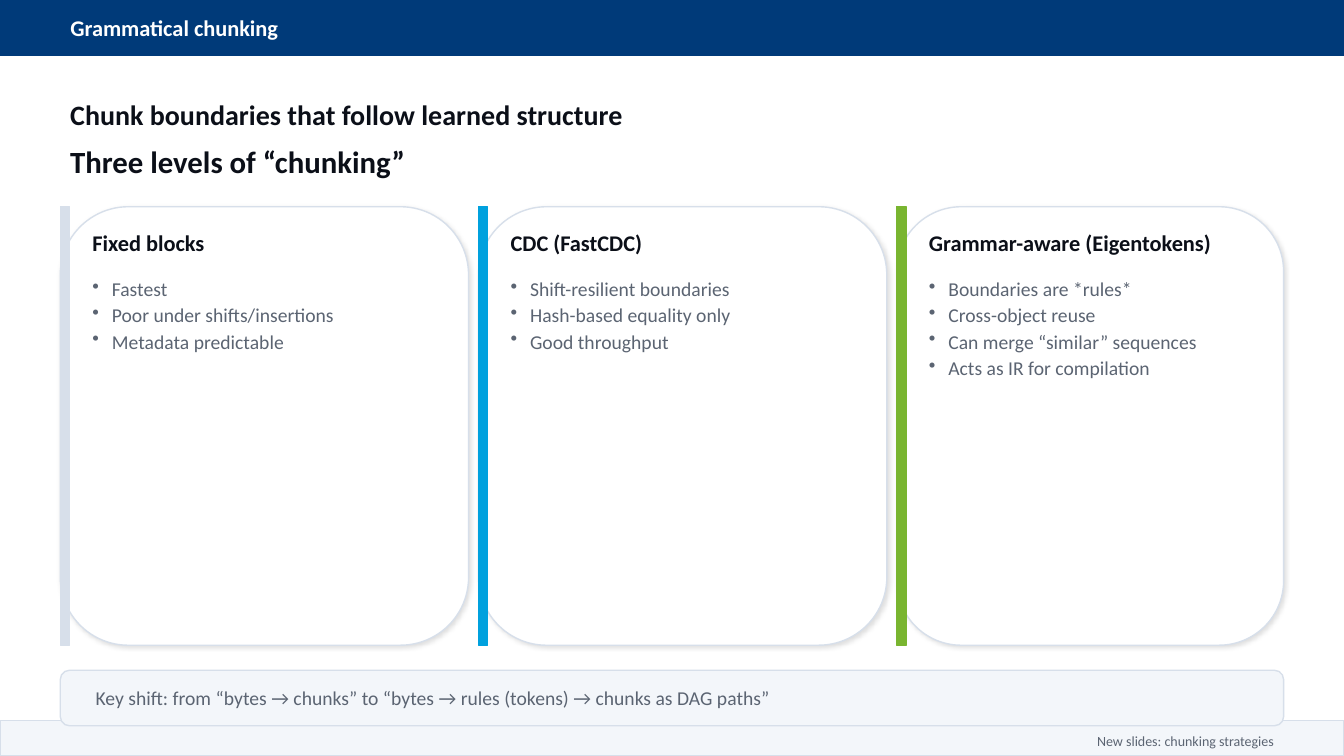
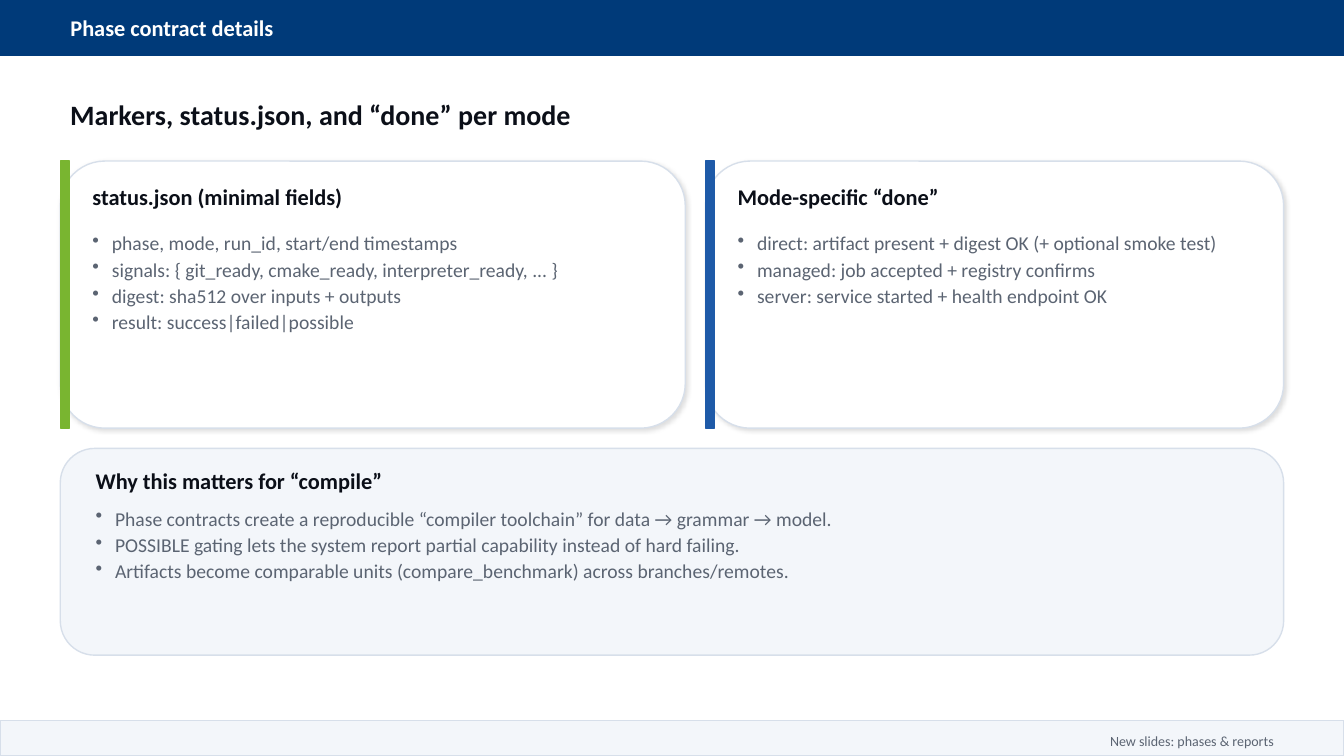
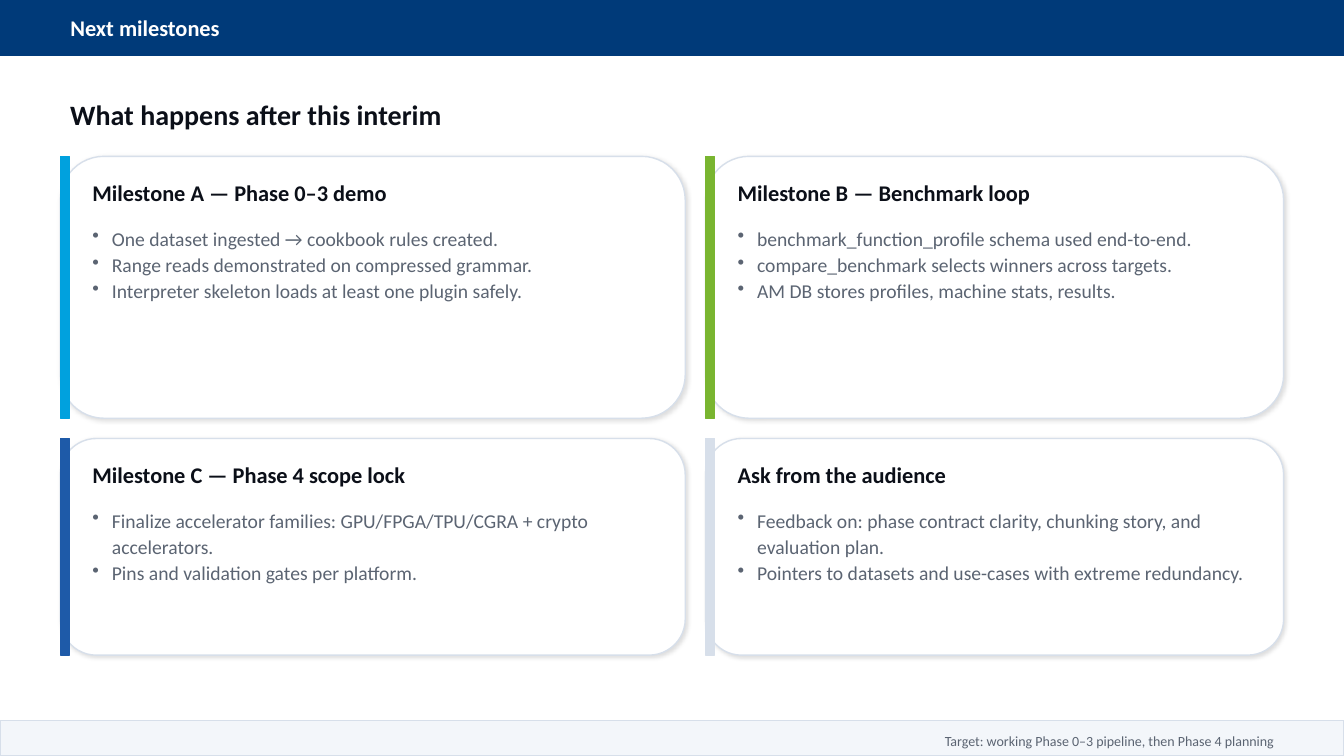
from dataclasses import dataclass

import lxml.etree
import pptx
import pptx.dml.color
import pptx.enum.shapes
import pptx.enum.text
import pptx.oxml.ns
import pptx.presentation
import pptx.shapes.autoshape
import pptx.slide
import pptx.text.text
import pptx.util

Cm = pptx.util.Cm
Pt = pptx.util.Pt
RGBColor = pptx.dml.color.RGBColor
ShapeType = pptx.enum.shapes.MSO_SHAPE
Alignment = pptx.enum.text.PP_ALIGN
Anchor = pptx.enum.text.MSO_ANCHOR
qn = pptx.oxml.ns.qn

NAVY = RGBColor(0x00, 0x3A, 0x79)
BLUE = RGBColor(0x1E, 0x5A, 0xA8)
CYAN = RGBColor(0x00, 0xA1, 0xDE)
GREEN = RGBColor(0x79, 0xB5, 0x30)
BORDER = RGBColor(0xD7, 0xDF, 0xEA)
PANEL = RGBColor(0xF3, 0xF6, 0xFA)
INK = RGBColor(0x0B, 0x0F, 0x18)
GREY = RGBColor(0x5B, 0x64, 0x72)
WHITE = RGBColor(0xFF, 0xFF, 0xFF)

FONT = "Calibri"
TITLE_ONLY_LAYOUT = 5

# Lengths in centimetres
SLIDE_WIDTH = 33.87
SLIDE_HEIGHT = 19.05
MARGIN = 1.52
CONTENT_WIDTH = SLIDE_WIDTH - 2 * MARGIN
FOOTER_HEIGHT = 0.89
ACCENT_WIDTH = 0.23
CARD_PADDING = 0.56
PANEL_PADDING = 0.64
BULLET_INDENT = 0.49


@dataclass(frozen=True)
class Box:
    left: float
    top: float
    width: float
    height: float


@dataclass(frozen=True)
class TextStyle:
    size: int
    color: RGBColor
    bold: bool = False
    alignment: Alignment = Alignment.LEFT


@dataclass(frozen=True)
class Card:
    title: str
    bullets: list[str]
    accent: RGBColor


BAND_TITLE = TextStyle(16, WHITE, bold=True)
HEADING = TextStyle(20, INK, bold=True)
SECTION = TextStyle(22, INK, bold=True)
CARD_TITLE = TextStyle(16, INK, bold=True)
BODY = TextStyle(14, GREY)
FOOTER = TextStyle(10, GREY, alignment=Alignment.RIGHT)


def format_paragraph(paragraph: pptx.text.text._Paragraph, style: TextStyle) -> None:
    paragraph.alignment = style.alignment
    for run in paragraph.runs:
        run.font.name = FONT
        run.font.size = Pt(style.size)
        run.font.bold = style.bold
        run.font.color.rgb = style.color


def place(box: Box) -> tuple[Cm, Cm, Cm, Cm]:
    return Cm(box.left), Cm(box.top), Cm(box.width), Cm(box.height)


def fill_text(frame: pptx.text.text.TextFrame, text: str, style: TextStyle) -> None:
    frame.text = text
    frame.word_wrap = True
    frame.auto_size = pptx.enum.text.MSO_AUTO_SIZE.NONE
    frame.vertical_anchor = Anchor.MIDDLE
    for paragraph in frame.paragraphs:
        format_paragraph(paragraph, style)


def add_text(slide: pptx.slide.Slide, box: Box, text: str,
             style: TextStyle) -> pptx.text.text.TextFrame:
    frame = slide.shapes.add_textbox(*place(box)).text_frame
    fill_text(frame, text, style)
    return frame


def add_bullets(slide: pptx.slide.Slide, left: float, top: float, width: float,
                bullets: list[str]) -> None:
    box = Box(left, top, width, 0.61 + 0.56 * len(bullets))
    frame = add_text(slide, box, "\n".join(bullets), BODY)
    frame.vertical_anchor = Anchor.TOP
    for paragraph in frame.paragraphs:
        paragraph.line_spacing = 1.12
        properties = paragraph._p.get_or_add_pPr()
        properties.set("marL", str(Cm(BULLET_INDENT)))
        properties.set("indent", str(-Cm(BULLET_INDENT)))
        lxml.etree.SubElement(properties, qn("a:buChar")).set("char", "•")


def add_block(slide: pptx.slide.Slide, kind: ShapeType, box: Box, fill: RGBColor,
              line: RGBColor) -> pptx.shapes.autoshape.Shape:
    shape = slide.shapes.add_shape(kind, *place(box))
    shape.shadow.inherit = False
    shape.fill.solid()
    shape.fill.fore_color.rgb = fill
    shape.line.color.rgb = line
    shape.line.width = Pt(1)
    return shape


def add_soft_shadow(shape: pptx.shapes.autoshape.Shape) -> None:
    effects = shape.element.spPr.find(qn("a:effectLst"))
    shadow = lxml.etree.SubElement(effects, qn("a:outerShdw"))
    shadow.set("blurRad", str(Pt(3)))
    shadow.set("dist", str(Pt(1.5)))
    shadow.set("dir", str(45 * 60000))
    color = lxml.etree.SubElement(shadow, qn("a:srgbClr"))
    color.set("val", "000000")
    lxml.etree.SubElement(color, qn("a:alpha")).set("val", "12000")


def add_card(slide: pptx.slide.Slide, box: Box, card: Card) -> None:
    add_soft_shadow(add_block(slide, ShapeType.ROUNDED_RECTANGLE, box, WHITE, BORDER))
    accent_box = Box(box.left, box.top, ACCENT_WIDTH, box.height)
    add_block(slide, ShapeType.RECTANGLE, accent_box, card.accent, card.accent)
    left = box.left + CARD_PADDING
    title_box = Box(left, box.top + 0.46, box.width - 0.89, 0.89)
    add_text(slide, title_box, card.title, CARD_TITLE)
    add_bullets(slide, left, box.top + 1.57, box.width - 1.07, card.bullets)


def add_card_row(slide: pptx.slide.Slide, top: float, height: float, width: float,
                 gap: float, cards: list[Card]) -> None:
    """Draw cards of one width side by side; the last one ends at the right margin."""
    right_edge = MARGIN + CONTENT_WIDTH
    for index, card in enumerate(cards):
        left = MARGIN + index * (width + gap)
        add_card(slide, Box(left, top, min(width, right_edge - left), height), card)


def add_panel(slide: pptx.slide.Slide, top: float, height: float) -> None:
    box = Box(MARGIN, top, CONTENT_WIDTH, height)
    add_block(slide, ShapeType.ROUNDED_RECTANGLE, box, PANEL, BORDER)


def add_base_slide(presentation: pptx.presentation.Presentation, title: str,
                   heading: str, footer: str) -> pptx.slide.Slide:
    slide = presentation.slides.add_slide(presentation.slide_layouts[TITLE_ONLY_LAYOUT])
    slide.background.fill.solid()
    slide.background.fill.fore_color.rgb = WHITE

    add_block(slide, ShapeType.RECTANGLE, Box(0, 0, SLIDE_WIDTH, 1.4), NAVY, NAVY)
    placeholder = slide.shapes.title
    slide.shapes.element.append(placeholder.element)  # bring the title above the band
    title_place = place(Box(MARGIN, 0.3, CONTENT_WIDTH, 0.81))
    placeholder.left, placeholder.top, placeholder.width, placeholder.height = title_place
    fill_text(placeholder.text_frame, title, BAND_TITLE)

    add_text(slide, Box(MARGIN, 2.11, CONTENT_WIDTH, 1.52), heading, HEADING)
    footer_top = SLIDE_HEIGHT - FOOTER_HEIGHT
    footer_box = Box(0, footer_top, SLIDE_WIDTH, FOOTER_HEIGHT)
    add_block(slide, ShapeType.RECTANGLE, footer_box, PANEL, BORDER)
    add_text(slide, Box(MARGIN, footer_top + 0.18, CONTENT_WIDTH, 0.64), footer, FOOTER)
    return slide


def add_chunking_slide(presentation: pptx.presentation.Presentation) -> None:
    slide = add_base_slide(presentation, "Grammatical chunking",
                           "Chunk boundaries that follow learned structure",
                           "New slides: chunking strategies")
    add_text(slide, Box(MARGIN, 3.56, CONTENT_WIDTH, 1.02),
             "Three levels of “chunking”", SECTION)
    add_card_row(slide, 5.21, 11.05, 10.29, 0.25, [
        Card("Fixed blocks",
             ["Fastest", "Poor under shifts/insertions", "Metadata predictable"], BORDER),
        Card("CDC (FastCDC)",
             ["Shift-resilient boundaries", "Hash-based equality only", "Good throughput"],
             CYAN),
        Card("Grammar-aware (Eigentokens)",
             ["Boundaries are *rules*", "Cross-object reuse",
              "Can merge “similar” sequences", "Acts as IR for compilation"], GREEN),
    ])
    panel_top = 16.89
    add_panel(slide, panel_top, 1.4)
    add_text(slide, Box(MARGIN + PANEL_PADDING, panel_top + 0.3,
                        CONTENT_WIDTH - 2 * PANEL_PADDING, 0.76),
             "Key shift: from “bytes → chunks” to “bytes → rules (tokens) → chunks as DAG paths”",
             BODY)


def add_contract_slide(presentation: pptx.presentation.Presentation) -> None:
    slide = add_base_slide(presentation, "Phase contract details",
                           "Markers, status.json, and “done” per mode",
                           "New slides: phases & reports")
    add_card_row(slide, 4.06, 6.73, 15.75, 0.51, [
        Card("status.json (minimal fields)",
             ["phase, mode, run_id, start/end timestamps",
              "signals: { git_ready, cmake_ready, interpreter_ready, ... }",
              "digest: sha512 over inputs + outputs",
              "result: success|failed|possible"], GREEN),
        Card("Mode-specific “done”",
             ["direct: artifact present + digest OK (+ optional smoke test)",
              "managed: job accepted + registry confirms",
              "server: service started + health endpoint OK"], BLUE),
    ])
    panel_top = 11.3
    text_left = MARGIN + PANEL_PADDING
    text_width = CONTENT_WIDTH - 2 * PANEL_PADDING
    add_panel(slide, panel_top, 5.21)
    add_text(slide, Box(text_left, panel_top + 0.43, text_width, 0.76),
             "Why this matters for “compile”", CARD_TITLE)
    add_bullets(slide, text_left, panel_top + 1.27, text_width, [
        "Phase contracts create a reproducible “compiler toolchain” for data → grammar → model.",
        "POSSIBLE gating lets the system report partial capability instead of hard failing.",
        "Artifacts become comparable units (compare_benchmark) across branches/remotes.",
    ])


def add_milestones_slide(presentation: pptx.presentation.Presentation) -> None:
    slide = add_base_slide(presentation, "Next milestones",
                           "What happens after this interim",
                           "Target: working Phase 0–3 pipeline, then Phase 4 planning")
    add_card_row(slide, 3.94, 6.6, 15.75, 0.51, [
        Card("Milestone A — Phase 0–3 demo",
             ["One dataset ingested → cookbook rules created.",
              "Range reads demonstrated on compressed grammar.",
              "Interpreter skeleton loads at least one plugin safely."], CYAN),
        Card("Milestone B — Benchmark loop",
             ["benchmark_function_profile schema used end-to-end.",
              "compare_benchmark selects winners across targets.",
              "AM DB stores profiles, machine stats, results."], GREEN),
    ])
    add_card_row(slide, 11.05, 5.46, 15.75, 0.51, [
        Card("Milestone C — Phase 4 scope lock",
             ["Finalize accelerator families: GPU/FPGA/TPU/CGRA + crypto accelerators.",
              "Pins and validation gates per platform."], BLUE),
        Card("Ask from the audience",
             ["Feedback on: phase contract clarity, chunking story, and evaluation plan.",
              "Pointers to datasets and use-cases with extreme redundancy."], BORDER),
    ])


def main() -> None:
    presentation = pptx.Presentation()
    presentation.slide_width = Cm(SLIDE_WIDTH)
    presentation.slide_height = Cm(SLIDE_HEIGHT)
    add_chunking_slide(presentation)
    add_contract_slide(presentation)
    add_milestones_slide(presentation)
    presentation.save("out.pptx")


if __name__ == "__main__":
    main()
